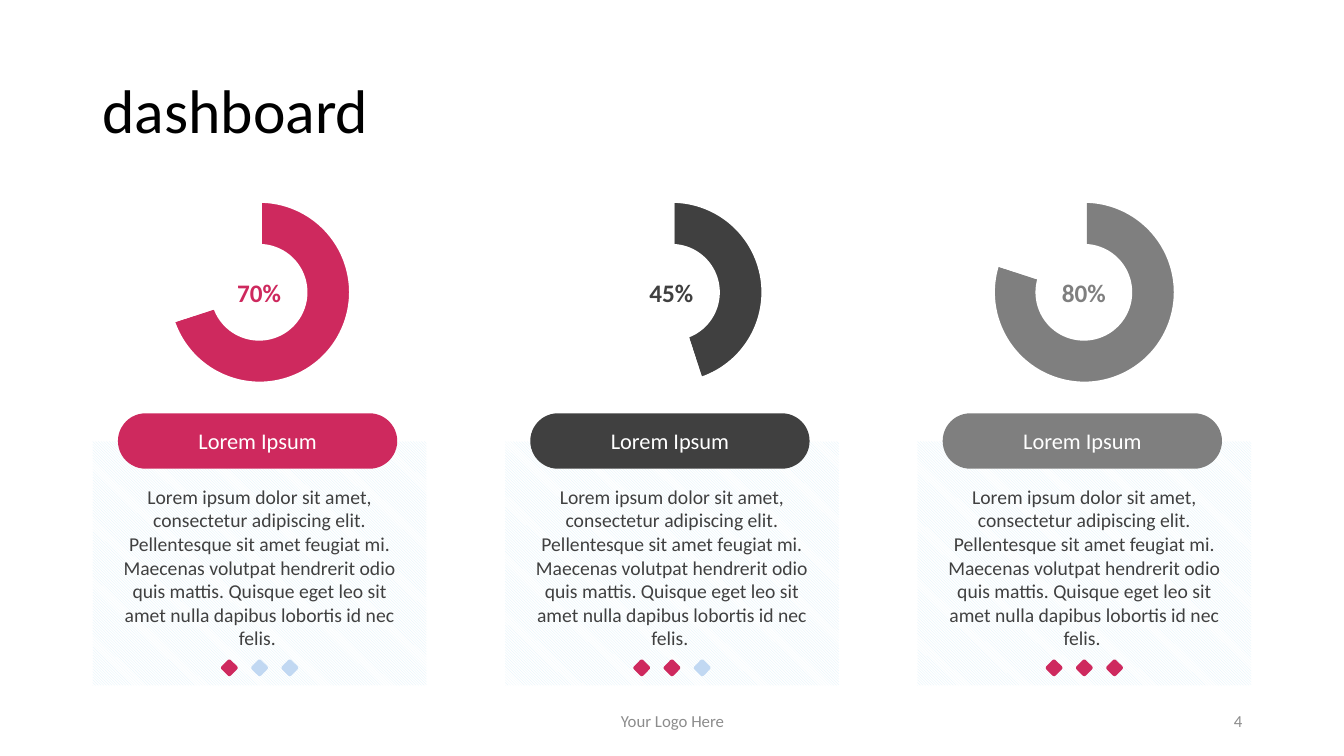
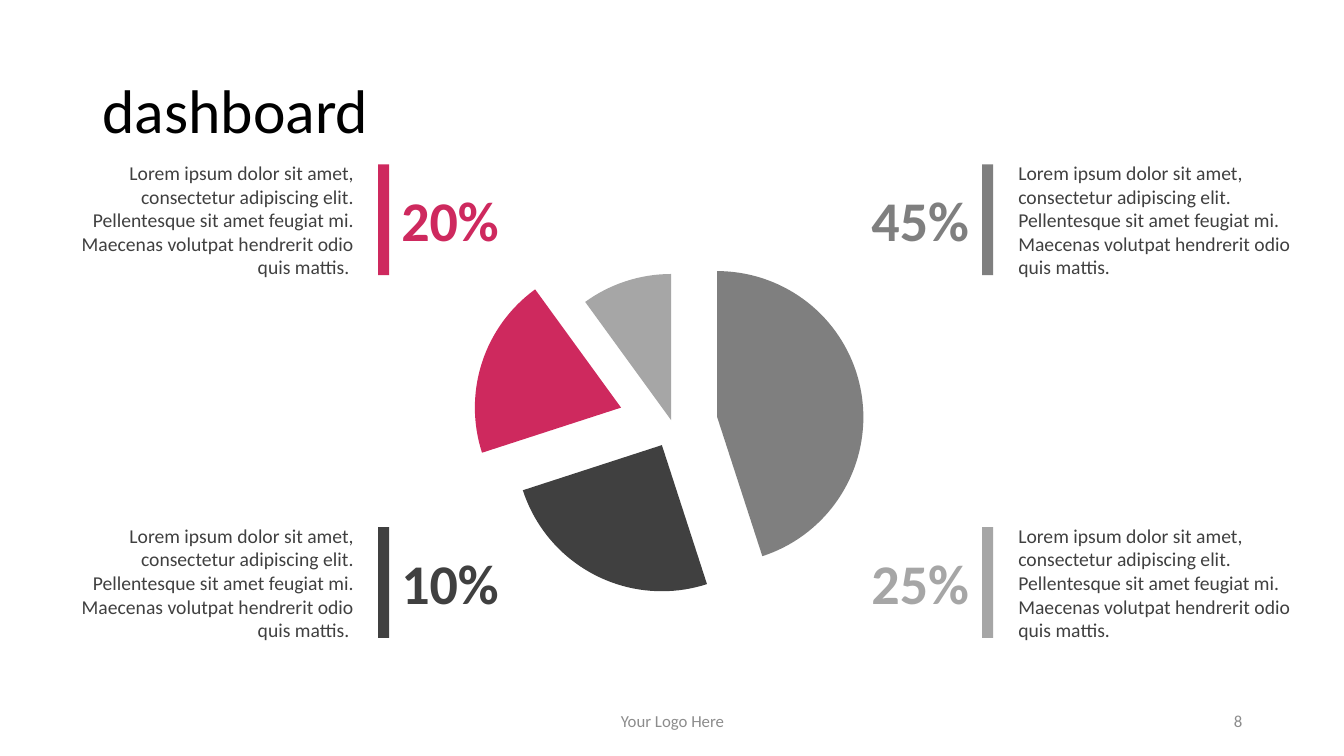
from lxml import etree
from pptx import Presentation
from pptx.chart.data import CategoryChartData
from pptx.dml.color import RGBColor
from pptx.enum.chart import XL_CHART_TYPE
from pptx.enum.dml import MSO_PATTERN
from pptx.enum.shapes import MSO_SHAPE
from pptx.enum.text import MSO_ANCHOR, PP_ALIGN
from pptx.oxml.ns import qn
from pptx.util import Inches, Pt

PIE = XL_CHART_TYPE.PIE
DIAGONAL = MSO_PATTERN.LIGHT_DOWNWARD_DIAGONAL
RECTANGLE, ROUNDED, OVAL = MSO_SHAPE.RECTANGLE, MSO_SHAPE.ROUNDED_RECTANGLE, MSO_SHAPE.OVAL
TOP, MIDDLE = MSO_ANCHOR.TOP, MSO_ANCHOR.MIDDLE
LEFT, CENTER, RIGHT = PP_ALIGN.LEFT, PP_ALIGN.CENTER, PP_ALIGN.RIGHT

FONT = "Calibri"
BLACK = RGBColor(0x00, 0x00, 0x00)
WHITE = RGBColor(0xFF, 0xFF, 0xFF)
PINK = RGBColor(0xCE, 0x29, 0x5E)
DARK = RGBColor(0x40, 0x40, 0x40)
GRAY = RGBColor(0x7F, 0x7F, 0x7F)
SILVER = RGBColor(0xA6, 0xA6, 0xA6)
FOOTER_GRAY = RGBColor(0x8C, 0x8C, 0x8C)
PALE_BLUE = RGBColor(0xC1, 0xD8, 0xF2)
STRIPE_BLUE = RGBColor(0xDB, 0xEF, 0xF9)

SHORT_TEXT = (
    "Lorem ipsum dolor sit amet, consectetur adipiscing elit. Pellentesque sit amet "
    "feugiat mi. Maecenas volutpat hendrerit odio quis mattis."
)
LONG_TEXT = SHORT_TEXT + " Quisque eget leo sit amet nulla dapibus lobortis id nec felis. "


def write(shape, text, size, color, align=LEFT, anchor=MIDDLE, bold=False, inset=0):
    """Put one styled paragraph in a shape and return the paragraph."""
    frame = shape.text_frame
    frame.word_wrap = True
    frame.vertical_anchor = anchor
    frame.margin_left = frame.margin_right = Inches(inset)
    frame.margin_top = frame.margin_bottom = Inches(inset / 2)
    para = frame.paragraphs[0]
    para.text = text
    para.alignment = align
    para.font.name = FONT
    para.font.size = Pt(size)
    para.font.bold = bold
    para.font.color.rgb = color
    return para


def add_text(page, box, text, size, color, **style):
    """Add a text box and return its paragraph."""
    area = page.shapes.add_textbox(*map(Inches, box))
    return write(area, text, size, color, **style)


def add_block(page, kind, box, color):
    """Add a filled preset shape without outline or shadow."""
    block = page.shapes.add_shape(kind, *map(Inches, box))
    block.shadow.inherit = False
    block.line.fill.background()
    block.fill.solid()
    block.fill.fore_color.rgb = color
    return block


def set_plot_size(chart, width, height):
    """Centre the plot in the chart at the given fractions of its size."""
    plot_area = chart._chartSpace.find(f".//{qn('c:plotArea')}")
    for old in plot_area.findall(qn("c:layout")):
        plot_area.remove(old)
    layout = etree.Element(qn("c:layout"))
    manual = etree.SubElement(layout, qn("c:manualLayout"))
    settings = {
        "layoutTarget": "inner", "xMode": "edge", "yMode": "edge",
        "x": (1 - width) / 2, "y": (1 - height) / 2, "w": width, "h": height,
    }
    for name, value in settings.items():
        etree.SubElement(manual, qn(f"c:{name}")).set("val", str(value))
    plot_area.insert(0, layout)


def add_pie(page, box, values, colors, diameter, outline=None, explosions=()):
    """Add a pie chart of a given diameter, with optional outline and exploded slices."""
    data = CategoryChartData()
    data.categories = [str(number + 1) for number in range(len(values))]
    data.add_series("Series 1", values)
    chart = page.shapes.add_chart(PIE, *map(Inches, box), data).chart
    chart.has_legend = False
    chart.has_title = False
    chart.font.name = FONT
    chart.font.size = Pt(10)
    chart.font.color.rgb = BLACK
    chart.plots[0].vary_by_categories = True
    series = chart.plots[0].series[0]
    for index, color in enumerate(colors):
        style = series.points[index].format
        style.fill.solid()
        style.fill.fore_color.rgb = color
        if outline:
            style.line.color.rgb = WHITE
            style.line.width = Pt(outline)
        else:
            style.line.fill.background()
    for slice_xml, percent in zip(series._element.findall(qn("c:dPt")), explosions):
        explosion = etree.Element(qn("c:explosion"))
        explosion.set("val", str(percent))
        slice_xml.find(qn("c:spPr")).addprevious(explosion)
    set_plot_size(chart, diameter / box[2], diameter / box[3])


def add_page(deck, number):
    """Add a blank page with the shared title and footer."""
    page = deck.slides.add_slide(deck.slide_layouts[6])
    title = add_text(page, (0.92, 0.4, 11.5, 1.45), "dashboard", 44, BLACK, inset=0.1)
    title.line_spacing = 0.9
    add_text(page, (4.42, 6.95, 4.5, 0.4), "Your Logo Here", 12, FOOTER_GRAY,
             align=CENTER, inset=0.1)
    add_text(page, (9.42, 6.95, 3, 0.4), str(number), 12, FOOTER_GRAY,
             align=RIGHT, inset=0.1)
    return page


def add_ring_card(page, left, top, percent, color, rating):
    """Draw a ring chart over a striped card with a heading and a rating."""
    panel = add_block(page, RECTANGLE, (left, top + 2.53, 3.31, 2.42), WHITE)
    panel.fill.patterned()
    panel.fill.pattern = DIAGONAL
    panel.fill.fore_color.rgb = STRIPE_BLUE
    panel.fill.back_color.rgb = WHITE
    add_pie(page, (left + 0.53, top, 2.25, 2.1), (percent, 100 - percent),
            (color, WHITE), 1.82, outline=3.25)
    hole = add_block(page, OVAL, (left + 1.17, top + 0.57, 0.96, 0.96), WHITE)
    write(hole, f"{percent}%", 18, color, align=CENTER, bold=True)
    pill = add_block(page, ROUNDED, (left + 0.25, top + 2.25, 2.77, 0.55), color)
    pill.adjustments[0] = 0.5
    write(pill, "Lorem Ipsum", 16, WHITE, align=CENTER)
    add_text(page, (left + 0.18, top + 2.96, 2.95, 1.65), LONG_TEXT, 14, DARK,
             align=CENTER, anchor=TOP)
    for index in range(3):
        diamond = add_block(page, ROUNDED, (left + 1.29 + 0.3 * index, top + 4.71, 0.13, 0.13),
                            PINK if index < rating else PALE_BLUE)
        diamond.rotation = 315


def add_callout(page, top, percent, color, on_right):
    """Draw a bar between a large percentage and its description on one side."""
    if on_right:
        bar_left, text_left, value_left = 9.74, 10.1, 7.53
        text, text_align, value_align = SHORT_TEXT, LEFT, RIGHT
    else:
        bar_left, text_left, value_left = 3.75, 0.56, 3.98
        text, text_align, value_align = SHORT_TEXT + " ", RIGHT, LEFT
    add_block(page, RECTANGLE, (bar_left, top + 0.04, 0.11, 1.1), color)
    add_text(page, (text_left, top, 2.95, 1.18), text, 14, DARK, align=text_align)
    add_text(page, (value_left, top + 0.25, 2.08, 0.67), f"{percent}%", 40, color,
             align=value_align, bold=True)


def build_rings(deck):
    """Build the page with three ring cards."""
    page = add_page(deck, 4)
    cards = ((70, PINK), (45, DARK), (80, GRAY))
    for index, (percent, color) in enumerate(cards):
        add_ring_card(page, 0.92 + 4.09 * index, 1.85, percent, color, index + 1)


def build_pie(deck):
    """Build the page with an exploded pie and four callouts."""
    page = add_page(deck, 8)
    add_pie(page, (3.49, 2.09, 6.36, 4.24), (45, 25, 20, 10),
            (GRAY, DARK, PINK, SILVER), 2.9, explosions=(31, 16, 37, 3))
    callouts = (
        (1.59, 45, GRAY, True), (5.19, 25, SILVER, True),
        (1.59, 20, PINK, False), (5.19, 10, DARK, False),
    )
    for top, percent, color, on_right in callouts:
        add_callout(page, top, percent, color, on_right)


def main():
    """Build and save the deck."""
    deck = Presentation()
    deck.slide_width = Inches(13.33)
    deck.slide_height = Inches(7.5)
    build_rings(deck)
    build_pie(deck)
    deck.save("out.pptx")


if __name__ == "__main__":
    main()
